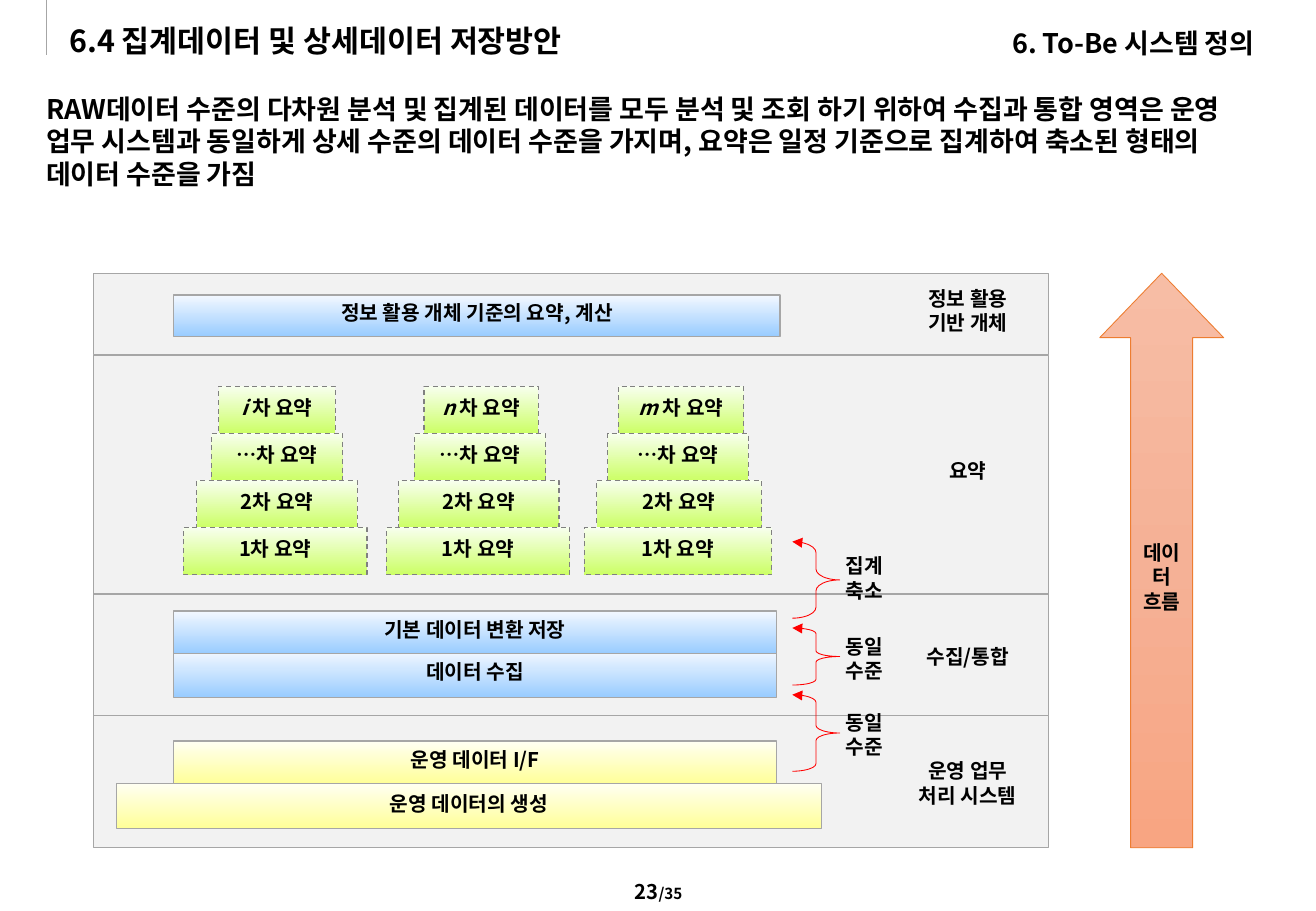
from lxml.etree import SubElement
from pptx import Presentation
from pptx.dml.color import RGBColor
from pptx.enum.dml import MSO_LINE
from pptx.enum.shapes import MSO_CONNECTOR, MSO_SHAPE
from pptx.enum.text import MSO_ANCHOR, PP_ALIGN
from pptx.oxml.ns import qn
from pptx.util import Inches, Pt

FONT = "Noto Sans CJK KR"
BLUE = ("F3F8FF", "99CCFF")
YELLOW = ("FFFFF3", "FFFF99")
GREEN = ("F8FFEF", "CCFF66")
ORANGE = ("F7BDA5", "F5B196", "F8A582")
NO_INSETS = (0, 0, 0, 0)
BOX_INSETS = (0.1, 0, 0.1, 0.05)
TEXT_INSETS = (0.1, 0.05, 0.1, 0.05)


def color(hex_code):
    return RGBColor.from_string(hex_code)


def write(shape, runs, size=12, align=PP_ALIGN.CENTER,
          anchor=MSO_ANCHOR.MIDDLE, insets=BOX_INSETS):
    """Fill a shape with one bold paragraph; each run is (text, size, italic)."""
    frame = shape.text_frame
    frame.word_wrap = True
    frame.vertical_anchor = anchor
    (frame.margin_left, frame.margin_top,
     frame.margin_right, frame.margin_bottom) = map(Inches, insets)
    paragraph = frame.paragraphs[0]
    paragraph.alignment = align
    paragraph.space_before = Pt(0)
    if isinstance(runs, str):
        runs = [(runs, size, False)]
    for text, run_size, italic in runs:
        run = paragraph.add_run()
        run.text = text
        font = run.font
        font.size, font.bold, font.italic = Pt(run_size), True, italic
        font.color.rgb = color("000000")
        font.name = FONT
        SubElement(font._element, qn("a:ea")).set("typeface", FONT)


def add_label(slide, place, runs, **style):
    label = slide.shapes.add_textbox(*map(Inches, place))
    write(label, runs, **style)


def fill_placeholder(placeholder, place, text, **style):
    (placeholder.left, placeholder.top,
     placeholder.width, placeholder.height) = map(Inches, place)
    properties = placeholder.text_frame.paragraphs[0]._p.get_or_add_pPr()
    properties.set("marL", "0")
    properties.set("indent", "0")
    SubElement(properties, qn("a:buNone"))
    write(placeholder, text, align=PP_ALIGN.LEFT, insets=NO_INSETS, **style)


def add_outline(slide, kind, place, line, width=0.75):
    shape = slide.shapes.add_shape(kind, *map(Inches, place))
    shape.shadow.inherit = False
    shape.line.color.rgb = color(line)
    shape.line.width = Pt(width)
    return shape


def shade(shape, colors):
    """Vertical gradient with evenly spaced stops."""
    shape.fill.gradient()
    shape.fill.gradient_angle = 270
    stops = shape._element.spPr.find(qn("a:gradFill")).find(qn("a:gsLst"))
    for stop in list(stops):
        stops.remove(stop)
    for i, hex_code in enumerate(colors):
        stop = SubElement(stops, qn("a:gs"))
        stop.set("pos", str(100000 * i // (len(colors) - 1)))
        SubElement(stop, qn("a:srgbClr")).set("val", hex_code)


def add_data_box(slide, place, runs, colors, dashed=False):
    box = add_outline(slide, MSO_SHAPE.RECTANGLE, place,
                      "808080" if dashed else "A6A6A6")
    shade(box, colors)
    if dashed:
        box.line.dash_style = MSO_LINE.DASH
    write(box, runs)


def add_level_brace(slide, top, height, curve, label_top, text):
    brace = add_outline(slide, MSO_SHAPE.RIGHT_BRACE,
                        (6.52, top, 0.39, height), "FF0000", 0.5)
    brace.fill.background()
    brace.adjustments[0] = curve
    brace.adjustments[1] = 0.5
    SubElement(brace.line._get_or_add_ln(), qn("a:headEnd")).set("type", "triangle")
    add_label(slide, (6.76, label_top, 0.71, 0.5), text,
              anchor=MSO_ANCHOR.TOP, insets=TEXT_INSETS)


def add_header(slide):
    rule = slide.shapes.add_connector(
        MSO_CONNECTOR.STRAIGHT, *map(Inches, (0.38, 0, 0.38, 0.45)))
    rule.line.color.rgb = color("A6A6A6")
    rule.line.width = Pt(0.5)
    SubElement(rule._element.spPr, qn("a:effectLst"))
    title, summary = slide.placeholders
    fill_placeholder(title, (0.57, 0.18, 7.45, 0.3),
                     "6.4 집계데이터 및 상세데이터 저장방안", size=18)
    fill_placeholder(
        summary, (0.38, 0.76, 10.08, 0.76),
        "RAW데이터 수준의 다차원 분석 및 집계된 데이터를 모두 분석 및 조회 하기 위하여 "
        "수집과 통합 영역은 운영 업무 시스템과 동일하게 상세 수준의 데이터 수준을 가지며, "
        "요약은 일정 기준으로 집계하여 축소된 형태의 데이터 수준을 가짐",
        size=16, anchor=MSO_ANCHOR.TOP)
    add_label(slide, (8.33, 0.22, 2.38, 0.27), "6. To-Be 시스템 정의",
              size=16, align=PP_ALIGN.LEFT, insets=NO_INSETS)


def add_layers(slide):
    layers = [(2.25, 0.67, 2.4, "정보 활용 기반 개체"), (2.93, 1.97, 3.72, "요약"),
              (4.89, 1, 5.25, "수집/통합"), (5.89, 1.09, 6.29, "운영 업무 처리 시스템")]
    for top, height, name_top, name in layers:
        band = add_outline(slide, MSO_SHAPE.RECTANGLE,
                           (0.77, top, 7.86, height), "A6A6A6")
        band.fill.solid()
        band.fill.fore_color.rgb = color("F2F2F2")
        add_label(slide, (7.41, name_top, 1.11, 0.36), name)


def add_summary_stacks(slide):
    # Each stack: top-level letter, then (left, width) from top to bottom
    stacks = [
        ("i", [(1.8, 0.96), (1.74, 1.08), (1.62, 1.32), (1.51, 1.51)]),
        ("n", [(3.49, 0.94), (3.41, 1.08), (3.28, 1.32), (3.18, 1.51)]),
        ("m", [(5.09, 1.03), (5, 1.16), (4.91, 1.36), (4.81, 1.54)]),
    ]
    for letter, steps in stacks:
        names = [[(letter + " ", 12, True), ("차 요약", 12, False)],
                 "…차 요약", "2차 요약", "1차 요약"]
        for level, ((left, width), name) in enumerate(zip(steps, names)):
            add_data_box(slide, (left, 3.18 + 0.387 * level, width, 0.39),
                         name, GREEN, dashed=True)


def main():
    deck = Presentation()
    deck.slide_width, deck.slide_height = Inches(10.83), Inches(7.5)
    slide = deck.slides.add_slide(deck.slide_layouts[1])

    add_header(slide)
    add_layers(slide)

    # Stored data in each layer
    for place, name, colors in [
        ((0.96, 6.45, 5.8, 0.37), "운영 데이터의 생성", YELLOW),
        ((1.43, 6.1, 4.96, 0.35), "운영 데이터 I/F", YELLOW),
        ((1.43, 5.36, 4.96, 0.38), "데이터 수집", BLUE),
        ((1.43, 5.03, 4.96, 0.35), "기본 데이터 변환 저장", BLUE),
        ((1.43, 2.43, 4.99, 0.34), "정보 활용 개체 기준의 요약, 계산", BLUE),
    ]:
        add_data_box(slide, place, name, colors)
    add_summary_stacks(slide)

    # Data flow arrow
    flow = add_outline(slide, MSO_SHAPE.UP_ARROW, (9.05, 2.25, 1.02, 4.73), "ED7D31", 0.5)
    flow.adjustments[0], flow.adjustments[1] = 0.5, 0.52
    shade(flow, ORANGE)
    write(flow, "데이터 흐름", insets=TEXT_INSETS)

    # Level changes between layers
    add_level_brace(slide, 5.72, 0.63, 0.16, 5.8, "동일 수준")
    add_level_brace(slide, 5.17, 0.47, 0.12, 5.17, "동일 수준")
    add_level_brace(slide, 4.46, 0.63, 0.23, 4.51, "집계 축소")

    # Page number
    add_label(slide, (4.29, 7.19, 2.26, 0.33),
              [("23", 12, False), ("/35", 9, False)],
              anchor=MSO_ANCHOR.TOP, insets=TEXT_INSETS)

    deck.save("out.pptx")


if __name__ == "__main__":
    main()
